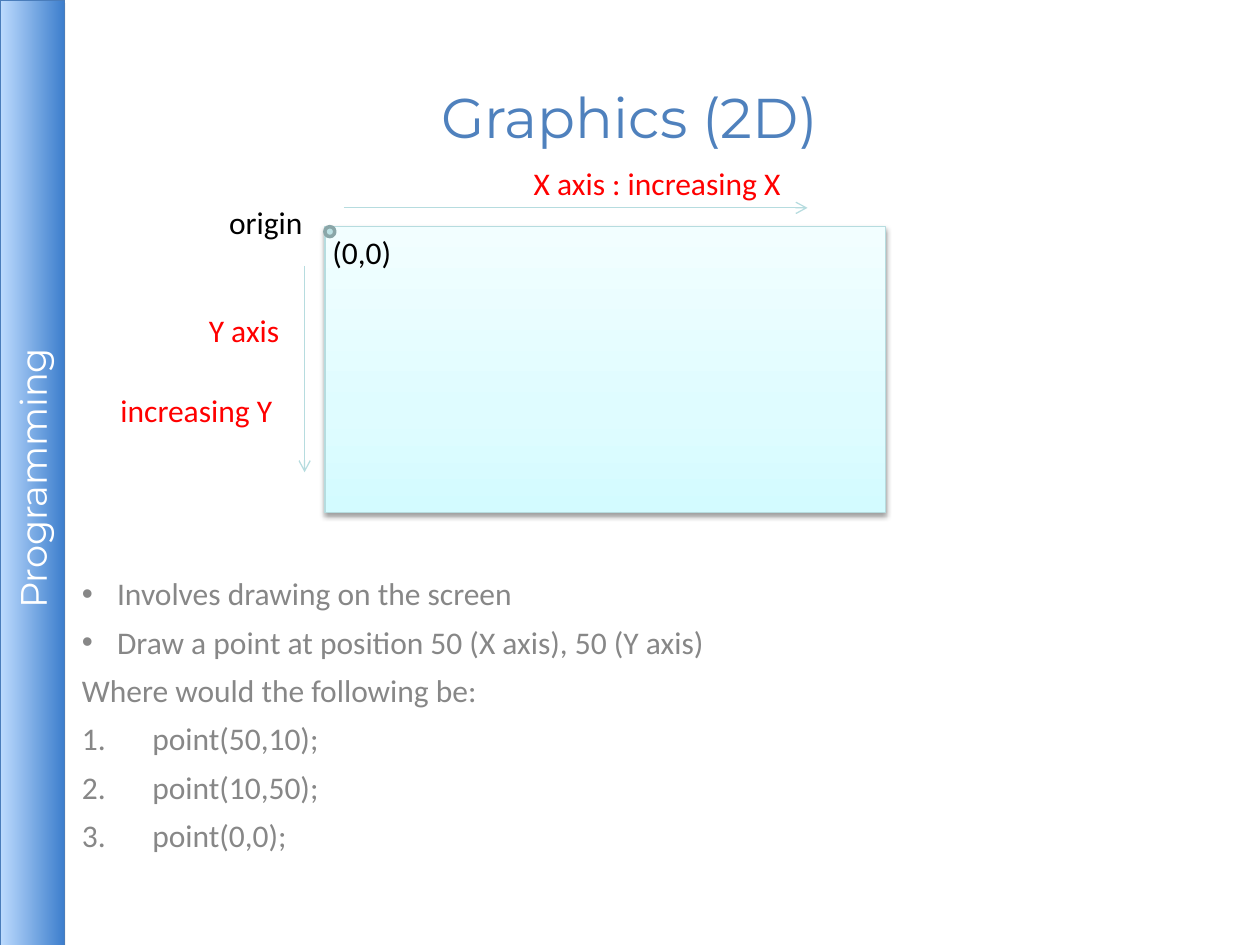
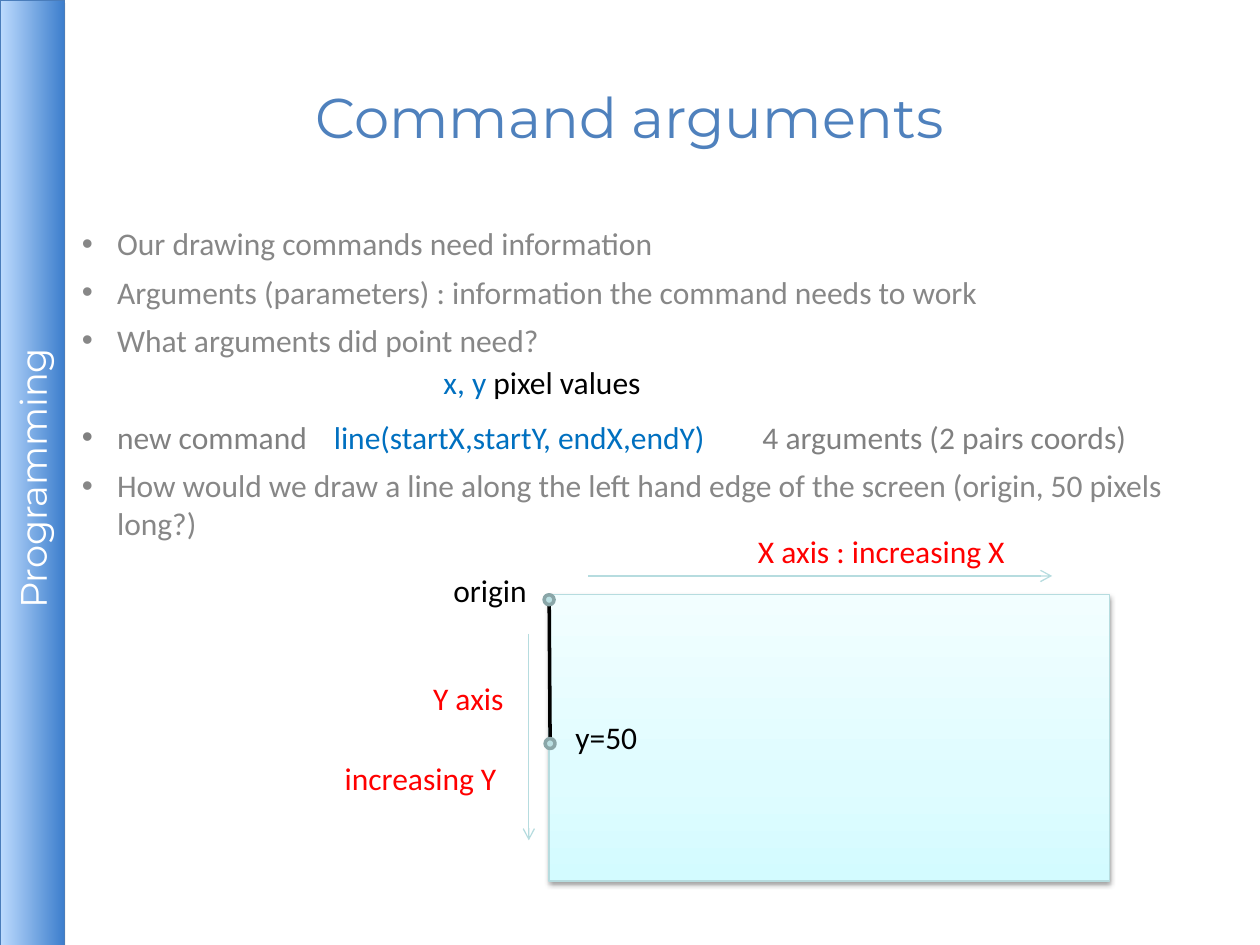
from lxml.etree import SubElement
from pptx import Presentation
from pptx.dml.color import RGBColor
from pptx.enum.shapes import MSO_CONNECTOR, MSO_SHAPE
from pptx.enum.text import MSO_ANCHOR, MSO_AUTO_SIZE, PP_ALIGN
from pptx.oxml.ns import qn
from pptx.util import Cm, Pt

COLORS = {
    "title": "4F81BD", "body": "878787", "command_line": "808080",
    "code": "0070C0", "label": "000000", "axis_label": "FF0000",
    "band_text": "FFFFFF", "band_line": "4A7DBB",
    "band_light": "BDDBFE", "band_dark": "3E7FCD",
    "screen_low": "D3FBFF", "screen_mid": "DFFCFF", "screen_high": "F2FEFF",
    "axis": "B6DCDF", "point": "BBE0E3", "point_line": "8AA6A8",
    "shadow": "000000", "drawn_line": "000000",
}
HEADING_FONT, BODY_FONT = "Montserrat", "Calibri"
INSET = Cm(0.1)
LABEL_HEIGHT = 1.02
SCREEN_WIDTH, SCREEN_HEIGHT = 11.3, 5.77


def rgb(name):
    return RGBColor.from_string(COLORS[name])


def format_run(run, color, size=18, font=BODY_FONT):
    run.font.name = font
    run.font.size = Pt(size)
    run.font.color.rgb = rgb(color)


def add_runs(paragraph, parts):
    """Add (text, colour name) parts to a paragraph."""
    for text, color in parts:
        run = paragraph.add_run()
        run.text = text
        format_run(run, color)


def set_frame(frame, anchor):
    frame.margin_left = frame.margin_right = INSET
    frame.margin_top = frame.margin_bottom = INSET
    frame.vertical_anchor = anchor
    frame.auto_size = MSO_AUTO_SIZE.NONE
    frame.word_wrap = True


def place(shape, left, top, width, height):
    shape.left, shape.top = Cm(left), Cm(top)
    shape.width, shape.height = Cm(width), Cm(height)


def set_line(shape, color, width=0.75):
    shape.line.color.rgb = rgb(color)
    shape.line.width = Pt(width)


def set_gradient(shape, stops, angle):
    """Fill with (percent, colour name) stops; angle runs counter-clockwise."""
    shape.fill.gradient()
    shape.fill.gradient_angle = angle
    stop_list = shape._element.spPr.find(".//" + qn("a:gsLst"))
    for old_stop in list(stop_list):
        stop_list.remove(old_stop)
    for percent, color in stops:
        stop = SubElement(stop_list, qn("a:gs"), pos=str(percent * 1000))
        SubElement(stop, qn("a:srgbClr"), val=COLORS[color])


def set_shadow(shape, opacity, blur, distance):
    shape.shadow.inherit = False
    effects = shape._element.spPr.find(qn("a:effectLst"))
    shadow = SubElement(effects, qn("a:outerShdw"), blurRad=str(Pt(blur)),
                        dist=str(Pt(distance)), dir="5400000", rotWithShape="0")
    color = SubElement(shadow, qn("a:srgbClr"), val=COLORS["shadow"])
    SubElement(color, qn("a:alpha"), val=str(opacity * 1000))


def add_band(slide):
    band = slide.shapes.add_shape(MSO_SHAPE.RECTANGLE, Cm(-8.89), Cm(8.89),
                                  Cm(19.08), Cm(1.3))
    band.rotation = 270
    set_gradient(band, [(0, "band_light"), (100, "band_dark")], 270)
    set_line(band, "band_line")
    set_shadow(band, opacity=35, blur=0, distance=1.8)
    set_frame(band.text_frame, MSO_ANCHOR.MIDDLE)
    course = band.text_frame.paragraphs[0]
    course.text = "Programming "
    course.alignment = PP_ALIGN.CENTER
    format_run(course.runs[0], "band_text", 21, HEADING_FONT)


def add_slide(prs, heading):
    slide = prs.slides.add_slide(prs.slide_layouts[1])
    add_band(slide)
    title = slide.shapes.title
    place(title, 1.27, 0.76, 22.86, 3.18)
    set_frame(title.text_frame, MSO_ANCHOR.MIDDLE)
    title.text_frame.text = heading
    paragraph = title.text_frame.paragraphs[0]
    paragraph.alignment = PP_ALIGN.CENTER
    format_run(paragraph.runs[0], "title", 32, HEADING_FONT)
    return slide


def set_bullet(paragraph, kind):
    """Set the marker: 'bullet', 'number' or 'none'."""
    indent = Cm(1.42) if kind == "number" else Cm(0.71)
    properties = paragraph._p.get_or_add_pPr()
    properties.set("marL", str(indent))
    properties.set("indent", str(-indent))
    if kind == "bullet":
        SubElement(properties, qn("a:buFont"), typeface="Arial")
        SubElement(properties, qn("a:buChar"), char="•")
    elif kind == "number":
        SubElement(properties, qn("a:buAutoNum"), type="arabicPeriod")
    else:
        SubElement(properties, qn("a:buNone"))


def set_tabs(paragraph, positions):
    tabs = SubElement(paragraph._p.get_or_add_pPr(), qn("a:tabLst"))
    for position in positions:
        SubElement(tabs, qn("a:tab"), pos=str(Cm(position)), algn="l")


def add_list(slide, top, height, items):
    """Fill the body with (marker, parts) items and return its paragraphs."""
    body = slide.placeholders[1]
    place(body, 1.55, top, 22.58, height)
    frame = body.text_frame
    set_frame(frame, MSO_ANCHOR.TOP)
    for index, (marker, parts) in enumerate(items):
        paragraph = frame.add_paragraph() if index else frame.paragraphs[0]
        paragraph.space_before = Pt(6)
        set_bullet(paragraph, marker)
        add_runs(paragraph, parts)
    return frame.paragraphs


def add_label(slide, left, top, width, *parts):
    label = slide.shapes.add_textbox(Cm(left), Cm(top), Cm(width), Cm(LABEL_HEIGHT))
    label.text_frame.word_wrap = False
    label.text_frame.auto_size = MSO_AUTO_SIZE.SHAPE_TO_FIT_TEXT
    add_runs(label.text_frame.paragraphs[0], parts)


def add_line(slide, start, end, color, width=0.75, arrow=False):
    line = slide.shapes.add_connector(MSO_CONNECTOR.STRAIGHT,
                                      *map(Cm, (*start, *end)))
    set_line(line, color, width)
    if arrow:
        SubElement(line.line._get_or_add_ln(), qn("a:tailEnd"), type="arrow")
    SubElement(line._element.spPr, qn("a:effectLst"))


def add_point(slide, center_x, center_y, size=0.2):
    point = slide.shapes.add_shape(MSO_SHAPE.OVAL, Cm(center_x - size / 2),
                                   Cm(center_y - size / 2), Cm(size), Cm(size))
    point.shadow.inherit = False
    point.fill.solid()
    point.fill.fore_color.rgb = rgb("point")
    set_line(point, "point_line", 2)


def add_coordinate_screen(slide, left, top, x_arrow_gap):
    """Draw the screen rectangle with both axes, measured from its top left."""
    screen = slide.shapes.add_shape(MSO_SHAPE.RECTANGLE, Cm(left), Cm(top),
                                    Cm(SCREEN_WIDTH), Cm(SCREEN_HEIGHT))
    set_gradient(screen, [(0, "screen_low"), (35, "screen_mid"),
                          (100, "screen_high")], 90)
    set_line(screen, "axis")
    set_shadow(screen, opacity=38, blur=3.1, distance=1.6)

    x_start, x_axis_y = left + x_arrow_gap, top - 0.38
    y_axis_x = left - 0.41
    add_line(slide, (x_start, x_axis_y), (x_start + 9.35, x_axis_y), "axis", arrow=True)
    add_line(slide, (y_axis_x, top + 0.79), (y_axis_x, top + 4.95), "axis", arrow=True)

    for dx, dy, width, text, color in (
        (-2.18, -0.61, 2.01, "origin", "label"),
        (3.96, -1.39, 5.56, "X axis : increasing X", "axis_label"),
        (-2.59, 1.57, 1.96, "Y axis", "axis_label"),
        (-4.37, 3.18, 3.63, "increasing Y", "axis_label"),
    ):
        add_label(slide, left + dx, top + dy, width, (text, color))


def add_graphics_slide(prs):
    slide = add_slide(prs, "Graphics (2D)")
    add_list(slide, 11.48, 6.22, [
        (marker, [(text, "body")]) for marker, text in (
            ("bullet", "Involves drawing on the screen"),
            ("bullet", "Draw a point at position 50 (X axis), 50 (Y axis)"),
            ("none", "Where would the following be:"),
            ("number", "point(50,10);"),
            ("number", "point(10,50);"),
            ("number", "point(0,0);"),
        )
    ])
    left, top = 6.55, 4.57
    add_coordinate_screen(slide, left, top, x_arrow_gap=0.38)
    add_point(slide, left + 0.1, top + 0.1)
    add_label(slide, left - 0.1, top, 1.73, ("(0,0)", "label"))


def add_arguments_slide(prs):
    slide = add_slide(prs, "Command arguments")
    paragraphs = add_list(slide, 4.42, 13.31, [
        ("bullet", [("Our drawing commands need information", "body")]),
        ("bullet", [("Arguments (parameters) : information the command needs to work",
                     "body")]),
        ("bullet", [("What arguments did point need?", "body")]),
        ("bullet", [("new command\t", "command_line"),
                    ("line(startX,startY, endX,endY)\t", "code"),
                    ("4 arguments (2 pairs coords)", "command_line")]),
        ("bullet", [("How would we draw a line along the left hand edge of the "
                     "screen (origin, 50 pixels long?)", "body")]),
    ])
    new_command = paragraphs[3]
    new_command.space_before = Pt(34)
    set_tabs(new_command, (5.08, 13.72))

    left, top = 11.07, 11.99
    add_coordinate_screen(slide, left, top, x_arrow_gap=0.79)
    add_line(slide, (left, top), (left + 0.02, top + 3.05), "drawn_line", 2)
    for dx, dy in ((0, 0.1), (0.02, 3)):
        add_point(slide, left + dx, top + dy)
    add_label(slide, left + 0.28, top + 2.36, 1.78, ("y=50", "label"))
    add_label(slide, 8.69, 7.19, 4.57, ("x, y ", "code"), ("pixel values", "label"))


def main():
    prs = Presentation()
    prs.slide_width, prs.slide_height = Cm(25.4), Cm(19.05)
    add_graphics_slide(prs)
    add_arguments_slide(prs)
    prs.save("out.pptx")


if __name__ == "__main__":
    main()
